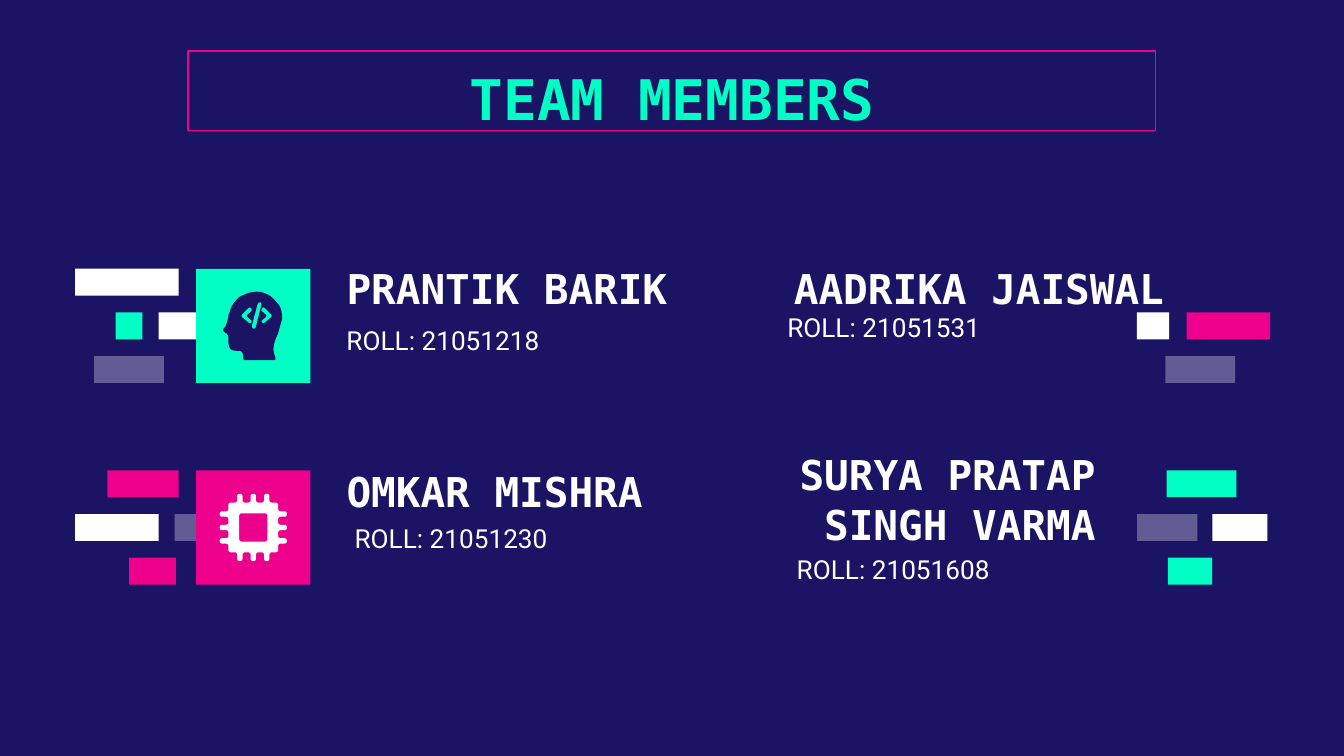
from math import cos, pi, sin

from lxml.etree import SubElement
from pptx import Presentation
from pptx.dml.color import RGBColor
from pptx.enum.shapes import MSO_SHAPE as Shape
from pptx.enum.text import MSO_ANCHOR as Anchor, PP_ALIGN as Align
from pptx.oxml.ns import qn
from pptx.util import Inches, Pt

NAVY, MINT, PINK, WHITE = "1B1464", "00FFC5", "EC008C", "FFFFFF"
MONO, SANS = "DejaVu Sans Mono", "Roboto"
FAINT = 31
WIDTH = 10
HEIGHT = WIDTH * 9 / 16
TITLE = "TEAM MEMBERS"

# name, name box, alignment, roll, roll corner
MEMBERS = [
    ("PRANTIK BARIK", (2.48, 1.94, 2.69, 0.39), Align.LEFT, "ROLL: 21051218", (2.48, 2.41)),
    ("AADRIKA JAISWAL", (5.7, 1.94, 3.06, 0.39), Align.RIGHT, "ROLL: 21051531", (5.76, 2.32)),
    ("OMKAR MISHRA", (2.48, 3.45, 2.51, 0.39), Align.LEFT, "ROLL: 21051230", (2.54, 3.89)),
    ("SURYA PRATAP SINGH VARMA", (4.77, 3.69, 3.48, 0.39), Align.RIGHT, "ROLL: 21051608", (5.83, 4.12)),
]
ROLL_SIZE = (2.37, 0.45)

BAND_TOPS = (2, 3.5)
TILE_LEFT, TILE_SIZE = 1.46, 0.85
BAR_HEIGHT = 0.2
BAR_PITCH = (TILE_SIZE - BAR_HEIGHT) / 2
TILE_COLOURS = (MINT, PINK)
# per band, per bar row: left, width, colour, opacity
BARS = [
    [
        [(0.56, 0.77, WHITE, 100)],
        [(0.86, 0.2, MINT, 100), (1.18, 0.35, WHITE, 100), (8.46, 0.24, WHITE, 100), (8.83, 0.62, PINK, 100)],
        [(0.7, 0.52, WHITE, FAINT), (8.67, 0.52, WHITE, FAINT)],
    ],
    [
        [(0.8, 0.53, PINK, 100), (8.68, 0.52, MINT, 100)],
        [(0.56, 0.62, WHITE, 100), (1.3, 0.24, WHITE, FAINT), (8.46, 0.45, WHITE, FAINT), (9.02, 0.41, WHITE, 100)],
        [(0.96, 0.35, PINK, 100), (8.69, 0.33, MINT, 100)],
    ],
]

HEAD_START = (1.91, 2.17)
HEAD_CURVES = [
    (1.86, 2.17, 1.82, 2.19, 1.78, 2.21), (1.75, 2.24, 1.72, 2.27, 1.71, 2.32),
    (1.7, 2.34, 1.7, 2.35, 1.7, 2.36), (1.69, 2.39, 1.69, 2.41, 1.67, 2.44),
    (1.66, 2.45, 1.66, 2.45, 1.66, 2.46), (1.67, 2.47, 1.68, 2.48, 1.68, 2.48),
    (1.69, 2.48, 1.69, 2.48, 1.69, 2.49), (1.7, 2.49, 1.7, 2.51, 1.7, 2.53),
    (1.7, 2.55, 1.7, 2.57, 1.71, 2.59), (1.72, 2.61, 1.75, 2.61, 1.77, 2.61),
    (1.79, 2.61, 1.8, 2.61, 1.81, 2.64), (1.81, 2.66, 1.81, 2.68, 1.82, 2.68),
    (1.9, 2.68, 1.96, 2.68, 2.04, 2.68), (2.05, 2.68, 2.05, 2.67, 2.05, 2.66),
    (2.02, 2.6, 2.04, 2.54, 2.07, 2.48), (2.08, 2.44, 2.09, 2.41, 2.1, 2.37),
    (2.1, 2.32, 2.09, 2.28, 2.06, 2.25), (2.02, 2.2, 1.97, 2.17, 1.91, 2.17),
]
BRACKET = [(1.86, 2.28), (1.79, 2.35), (1.86, 2.41), (1.88, 2.39), (1.83, 2.35), (1.88, 2.31)]
SLASH = [(1.92, 2.25), (1.95, 2.25), (1.9, 2.45), (1.87, 2.44)]
FACE_AXIS = 1.91

CHIP_CENTRE = (TILE_LEFT + TILE_SIZE / 2, BAND_TOPS[1] + TILE_SIZE / 2)
CHIP_REACH, CHIP_BODY, CHIP_CORE = 0.5 / 2, 0.37 / 2, 0.21 / 2
PIN_OFFSETS, PIN_HALF = (-0.1, 0, 0.1), 0.02
CORNER = 0.02


def paint(shape, colour, opacity=100):
    shape.shadow.inherit = False
    shape.fill.solid()
    shape.fill.fore_color.rgb = RGBColor.from_string(colour)
    shape.line.fill.background()
    if opacity < 100:
        tint = shape._element.spPr.find(qn("a:solidFill"))[0]
        SubElement(tint, qn("a:alpha")).set("val", str(opacity * 1000))


def block(slide, left, top, width, height, colour, opacity=100):
    box = [Inches(v) for v in (left, top, width, height)]
    paint(slide.shapes.add_shape(Shape.RECTANGLE, *box), colour, opacity)


def write(shape, text, size, font, colour, bold=False, align=Align.LEFT, anchor=Anchor.TOP, insets=(0, 0)):
    frame = shape.text_frame
    frame.word_wrap = True
    frame.vertical_anchor = anchor
    frame.margin_left = frame.margin_right = Inches(0.1)
    frame.margin_top, frame.margin_bottom = [Inches(v) for v in insets]
    frame.text = text
    frame.paragraphs[0].alignment = align
    style = frame.paragraphs[0].runs[0].font
    style.size, style.name, style.bold = Pt(size), font, bold
    style.color.rgb = RGBColor.from_string(colour)


def flatten(start, curves, steps=6):
    points = [start]
    for x1, y1, x2, y2, x3, y3 in curves:
        ends = (points[-1], (x1, y1), (x2, y2), (x3, y3))
        for t in (n / steps for n in range(1, steps + 1)):
            weights = ((1 - t) ** 3, 3 * t * (1 - t) ** 2, 3 * t * t * (1 - t), t ** 3)
            points.append(tuple(sum(w * p[i] for w, p in zip(weights, ends)) for i in (0, 1)))
    return points


def rounded(corners, steps=4):
    points = []
    for i, (x, y) in enumerate(corners):
        arms = []
        for px, py in (corners[i - 1], corners[(i + 1) % len(corners)]):
            length = ((px - x) ** 2 + (py - y) ** 2) ** 0.5
            share = min(CORNER / length, 0.5)
            arms.append((x + (px - x) * share, y + (py - y) * share))
        (ax, ay), (bx, by) = arms
        for t in (n / steps for n in range(steps + 1)):
            a, c, b = (1 - t) ** 2, 2 * t * (1 - t), t * t
            points.append((a * ax + c * x + b * bx, a * ay + c * y + b * by))
    return points


def chip_outlines():
    side = [(-CHIP_BODY, -CHIP_BODY)]
    for offset in PIN_OFFSETS:
        left, right = offset - PIN_HALF, offset + PIN_HALF
        side += [(left, -CHIP_BODY), (left, -CHIP_REACH), (right, -CHIP_REACH), (right, -CHIP_BODY)]

    def around(points):
        cx, cy = CHIP_CENTRE
        turns = [(cos(n * pi / 2), sin(n * pi / 2)) for n in range(4)]
        return [(cx + x * c - y * s, cy + x * s + y * c) for c, s in turns for x, y in points]

    return [rounded(around(side)), rounded(around([(-CHIP_CORE, -CHIP_CORE)]))]


def icon(slide, outlines, colour):
    outlines = [[(x * 1000, y * 1000) for x, y in outline] for outline in outlines]
    builder = slide.shapes.build_freeform(*outlines[0][0], scale=Inches(1) / 1000)
    for n, outline in enumerate(outlines):
        if n:
            builder.move_to(*outline[0])
        builder.add_line_segments(outline[1:], close=True)
    paint(builder.convert_to_shape(), colour)


def main():
    """Build the team members slide."""
    deck = Presentation()
    deck.slide_width, deck.slide_height = Inches(WIDTH), Inches(HEIGHT)
    slide = deck.slides.add_slide(deck.slide_layouts[5])
    slide.background.fill.solid()
    slide.background.fill.fore_color.rgb = RGBColor.from_string(NAVY)

    title = slide.shapes.title
    title.left, title.top, title.width, title.height = [Inches(v) for v in (1.4, 0.38, 7.2, 0.59)]
    title.line.color.rgb = RGBColor.from_string(PINK)
    title.line.width = Pt(0.75)
    write(title, TITLE, 30, MONO, MINT, True, Align.CENTER, insets=(0.1, 0.1))

    for band_top, rows, tile_colour in zip(BAND_TOPS, BARS, TILE_COLOURS):
        for n, row in enumerate(rows):
            for left, width, colour, opacity in row:
                block(slide, left, band_top + n * BAR_PITCH, width, BAR_HEIGHT, colour, opacity)
        block(slide, TILE_LEFT, band_top, TILE_SIZE, TILE_SIZE, tile_colour)

    mirrored = [(2 * FACE_AXIS - x, y) for x, y in BRACKET]
    marks = [rounded(mark) for mark in (BRACKET, mirrored, SLASH)]
    icon(slide, [flatten(HEAD_START, HEAD_CURVES)] + marks, NAVY)
    icon(slide, chip_outlines(), WHITE)

    for name, name_box, align, roll, corner in MEMBERS:
        label = slide.shapes.add_textbox(*[Inches(v) for v in name_box])
        write(label, name, 22, MONO, WHITE, True, align, Anchor.BOTTOM)
        label = slide.shapes.add_textbox(*[Inches(v) for v in corner + ROLL_SIZE])
        write(label, roll, 14, SANS, WHITE, insets=(0, 0.1))

    deck.save("out.pptx")


if __name__ == "__main__":
    main()
